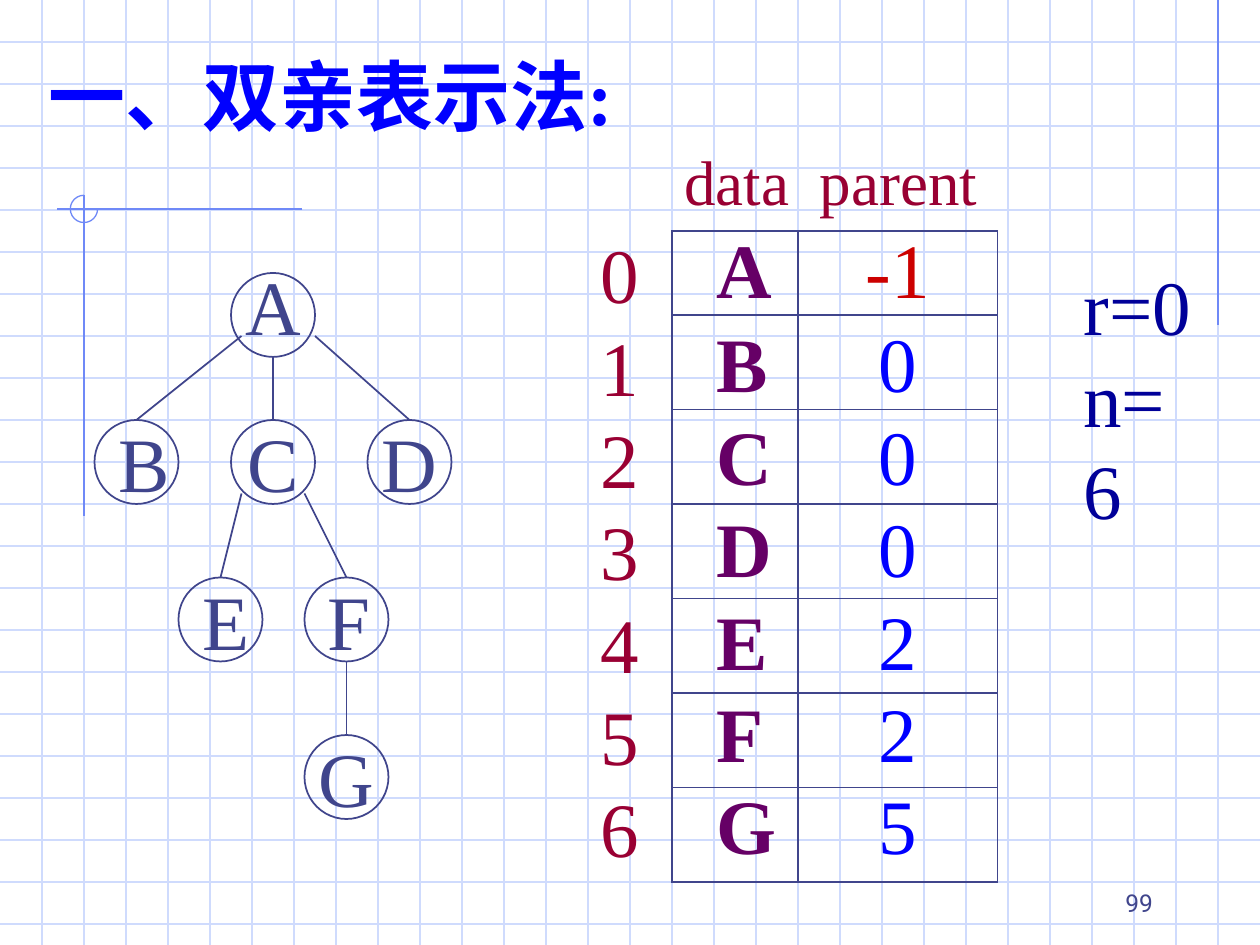
import pptx
import pptx.util
import pptx.dml.color
import pptx.enum.shapes
import pptx.enum.text
import pptx.oxml
import pptx.oxml.ns

Pt = pptx.util.Pt
Kind = pptx.enum.shapes.MSO_SHAPE
Anchor = pptx.enum.text.MSO_ANCHOR
Align = pptx.enum.text.PP_ALIGN

WIDE, HIGH = 1200, 900
SCALE = 7620  # EMU in one px, 120 px to the inch

THEME = {
    "serif": "Times New Roman", "sans": "Roboto",
    "big": 44, "head": 36, "small": 14,
    "grid": "CFDBFD", "trim": "6F89F7", "ink": "40458C",
    "title": "0000FF", "label": "990033", "data": "660066",
    "root": "CC0000", "link": "0000FF", "note": "000099",
    "thin": 0.75, "line": 1,
}


def px(n):
    return pptx.util.Emu(n * SCALE)


def tone(name):
    return pptx.dml.color.RGBColor.from_string(THEME[name])


def apply(item, form):
    for name, value in form.items():
        setattr(item, name, value)


def write(frame, lines, color, size="big", face="serif", bold=False, **form):
    """Fill a text frame, one paragraph for each line."""
    for i, line in enumerate(lines):
        para = frame.paragraphs[0] if i == 0 else frame.add_paragraph()
        apply(para, form)
        run = para.add_run()
        run.text = line
        apply(run.font, {"name": THEME[face], "size": Pt(THEME[size]), "bold": bold})
        run.font.color.rgb = tone(color)


def label(slide, box, lines, color, anchor=Anchor.TOP, **form):
    frame = slide.shapes.add_textbox(*map(px, box)).text_frame
    apply(frame, {"word_wrap": False, "vertical_anchor": anchor})
    write(frame, lines, color, **form)


def rule(slide, start, end, color="ink", width="line"):
    line = slide.shapes.add_connector(
        pptx.enum.shapes.MSO_CONNECTOR.STRAIGHT, *map(px, (*start, *end)))
    line.line.color.rgb = tone(color)
    line.line.width = Pt(THEME[width])
    line._element.spPr.append(pptx.oxml.parse_xml(
        f"<a:effectLst {pptx.oxml.ns.nsdecls('a')}/>"))


def outline(slide, kind, box, color="ink", width="line"):
    shape = slide.shapes.add_shape(kind, *map(px, box))
    shape.shadow.inherit = False
    shape.fill.background()
    shape.line.color.rgb = tone(color)
    shape.line.width = Pt(THEME[width])
    return shape


def paper(slide, box):
    """Square grid with the trim lines and the open circle."""
    left, top, wide, high = box
    for y in range(top + 40, top + high, 40):
        rule(slide, (left, y), (left + wide, y), "grid", "thin")
    for x in range(left + 40, left + wide, 40):
        rule(slide, (x, top), (x, top + high), "grid", "thin")
    trims = [((1160, 0), (1160, 310)), ((288, 199), (54, 199)), ((80, 186), (80, 491))]
    for ends in trims:
        rule(slide, *[(left + x, top + y) for x, y in ends], "trim", "thin")
    ring = outline(slide, Kind.ARC, (left + 67, top + 186, 26, 26), "trim", "thin")
    ring.adjustments[0] = 0
    ring.adjustments[1] = 162  # 270 degrees


def tree(slide, box):
    """Round nodes and the edges between them."""
    left, top, size = box
    # name: x, y, left inset, bottom inset
    nodes = {
        "A": (130, 0, 0, 20), "B": (0, 140, 14, 0), "C": (130, 140, 0, 0),
        "D": (260, 140, 0, 0), "E": (80, 290, 10, 0), "F": (200, 290, 4, 0),
        "G": (200, 440, 0, 0),
    }
    for name, (x, y, inset, lift) in nodes.items():
        node = outline(slide, Kind.OVAL, (left + x, top + y, size, size))
        frame = node.text_frame
        apply(frame, {
            "word_wrap": False, "vertical_anchor": Anchor.MIDDLE,
            "margin_left": px(inset), "margin_right": 0,
            "margin_top": 0, "margin_bottom": px(lift)})
        write(frame, [name], "ink", alignment=Align.CENTER)

    # Edges: start point, then the child whose top they reach
    edges = [((170, 80), "C"), ((210, 60), "D"), ((140, 60), "B"),
             ((140, 210), "E"), ((200, 210), "F"), ((240, 370), "G")]
    for (x, y), child in edges:
        end = nodes[child]
        rule(slide, (left + x, top + y),
             (left + end[0] + size // 2, top + end[1]))


def border(cell):
    props = cell._tc.get_or_add_tcPr()
    for i, side in enumerate("LRTB"):
        props.insert(i, pptx.oxml.parse_xml(
            f"<a:ln{side} {pptx.oxml.ns.nsdecls('a')} w='{Pt(THEME['line'])}'>"
            f"<a:solidFill><a:srgbClr val='{THEME['ink']}'/></a:solidFill></a:ln{side}>"))


def array(slide, box):
    """Table of nodes and parents, with its heads and row numbers."""
    left, top, wide, high = box
    rows = list(zip("ABCDEFG", ["-1", "0", "0", "0", "2", "2", "5"]))
    grid = slide.shapes.add_table(len(rows), 2, *map(px, box)).table
    apply(grid, {"first_row": False, "horz_banding": False})
    grid.columns[0].width, grid.columns[1].width = px(120), px(wide - 120)
    step, text = 90, 80
    first = high - step * (len(rows) - 1)
    for r, row in enumerate(rows):
        tall = step if r else first
        grid.rows[r].height = px(tall)
        for c, value in enumerate(row):
            cell = grid.cell(r, c)
            cell.fill.background()
            border(cell)
            apply(cell, {
                "margin_left": 0 if c else px(42), "margin_right": 0,
                "margin_top": px(min(12 - 2 * r, tall - text)), "margin_bottom": 0})
            color = "data" if c == 0 else "link" if r else "root"
            write(cell.text_frame, [value], color, bold=c == 0,
                  alignment=Align.CENTER if c else Align.LEFT, line_spacing=Pt(48))

    for x, wide, name in [(0, 124, "data"), (129, 174, "parent")]:
        label(slide, (left + x, top - 90, wide, 84), [name], "label", size="head")
    label(slide, (left - 80, top - 10, 60, 628),
          [str(r) for r in range(len(rows))], "label")


def main():
    deck = pptx.Presentation()
    deck.slide_width, deck.slide_height = px(WIDE), px(HIGH)
    slide = deck.slides.add_slide(deck.slide_layouts[6])
    paper(slide, (0, 0, WIDE, HIGH))
    tree(slide, (90, 260, 80))
    label(slide, (1020, 240, 138, 188), ["r=0", "n=6"], "note")
    array(slide, (640, 220, 310, 620))
    label(slide, (34, 40, 580, 101), ["一、双亲表示法:"], "title", bold=True)
    label(slide, (860, 820, 250, 60), ["99"], "ink", Anchor.BOTTOM,
          size="small", face="sans", alignment=Align.RIGHT)
    deck.save("out.pptx")


if __name__ == "__main__":
    main()
